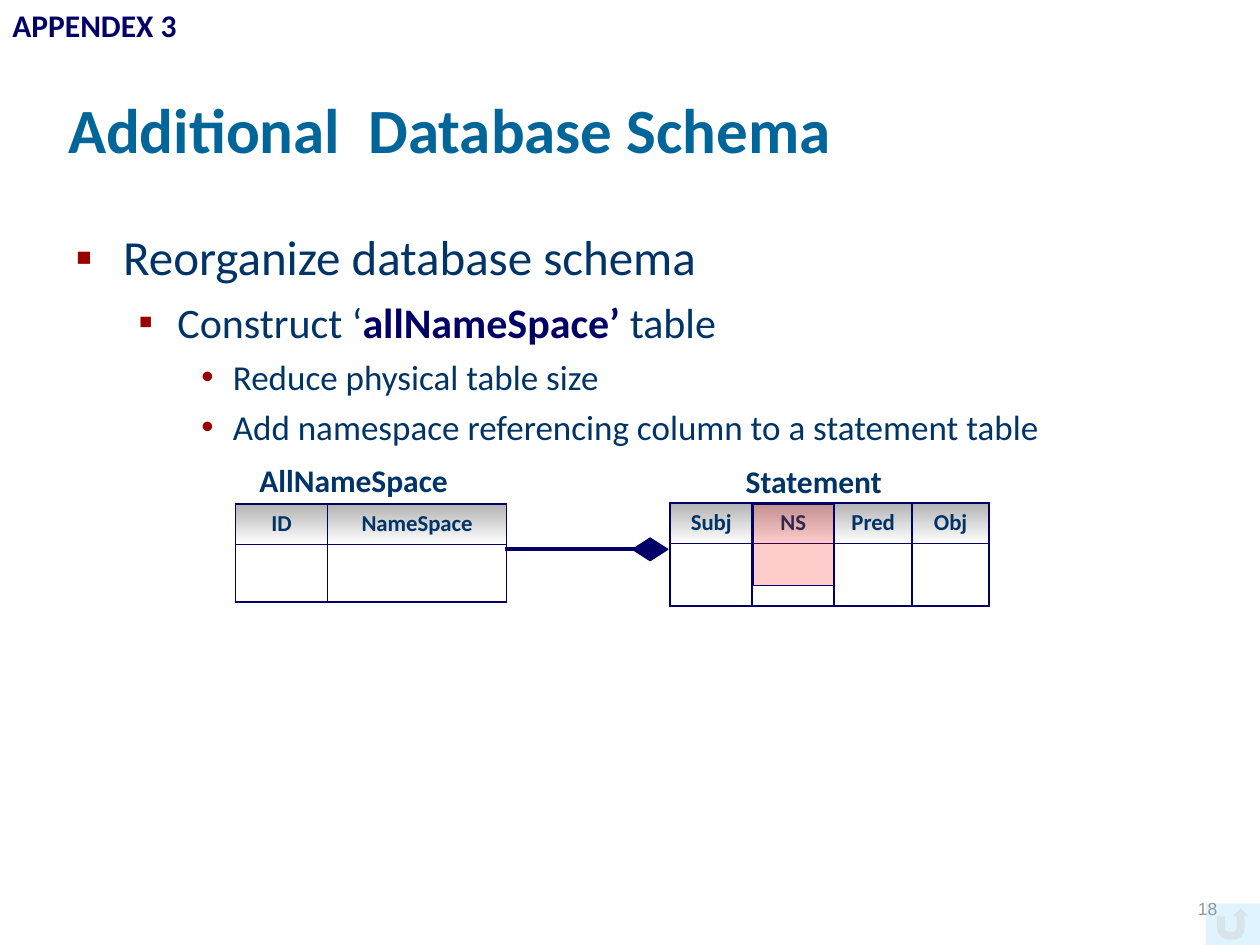
from lxml import etree
from pptx import Presentation
from pptx.dml.color import RGBColor
from pptx.enum import shapes, text
from pptx.oxml import parse_xml
from pptx.oxml.ns import nsdecls, qn
from pptx.util import Inches, Pt

NAVY, BLUE, RED = "000066", "003366", "990000"


def rgb(value):
    return RGBColor.from_string(value)


def write(para, words, size, color, bold=False, font="Calibri"):
    """Append a formatted run to a paragraph."""
    span = para.add_run()
    span.text = words
    span.font.name, span.font.size, span.font.bold = font, Pt(size), bold
    span.font.color.rgb = rgb(color)


deck = Presentation()
deck.slide_width, deck.slide_height = Inches(10), Inches(7.5)
page = deck.slides.add_slide(deck.slide_layouts[5])

# Title
title = page.shapes.title
title.left, title.top, title.width, title.height = map(Inches, (0.44, 0.12, 8.5, 1.25))
frame = title.text_frame
frame.auto_size = text.MSO_AUTO_SIZE.NONE
frame.vertical_anchor = text.MSO_ANCHOR.BOTTOM
frame.paragraphs[0].alignment = text.PP_ALIGN.LEFT
write(frame.paragraphs[0], "Additional  Database Schema", 36, "006699", True)

# Bulleted outline: level, space before, runs of (words, colour, bold)
outline = [
    (0, 0, [("Reorganize database schema", BLUE, False)]),
    (1, 6, [("Construct ‘", BLUE, False), ("allNameSpace’", NAVY, True),
            (" table", BLUE, False)]),
    (2, 5, [("Reduce physical table size", BLUE, False)]),
    (2, 5, [("Add namespace referencing column to a statement table", BLUE, False)]),
]
# Per level: text size, left margin, hanging indent, bullet
levels = [(28, 0.38, 0.38, "▪"), (24, 0.81, 0.31, "▪"), (20, 1.25, 0.25, "•")]
body = page.shapes.add_textbox(Inches(0.5), Inches(1.75), Inches(8.97), Inches(5.09))
frame = body.text_frame
frame.word_wrap = True
for index, (level, before, spans) in enumerate(outline):
    para = frame.add_paragraph() if index else frame.paragraphs[0]
    size, margin, hanging, bullet = levels[level]
    para.level = level
    para.space_before = Pt(before)
    props = para._p.get_or_add_pPr()
    props.set("marL", str(Inches(margin)))
    props.set("indent", str(-Inches(hanging)))
    bullet_color = etree.SubElement(props, qn("a:buClr"))
    etree.SubElement(bullet_color, qn("a:srgbClr"), val=RED)
    etree.SubElement(props, qn("a:buFont"), typeface="Arial")
    etree.SubElement(props, qn("a:buChar"), char=bullet)
    for words, color, bold in spans:
        write(para, words, size, color, bold)

# Schema tables: left, top, column widths, row heights, column names
tables = [
    (1.87, 4, (0.73, 1.42), (0.32, 0.46), ("ID", "NameSpace")),
    (5.32, 3.99, (0.65, 0.65, 0.62, 0.61), (0.32, 0.5), ("Subj", "NS", "Pred", "Obj")),
]
for left, top, widths, heights, names in tables:
    table = page.shapes.add_table(
        2, len(names), Inches(left), Inches(top),
        Inches(sum(widths)), Inches(sum(heights))).table
    table.first_row = table.horz_banding = False
    for column, width in zip(table.columns, widths):
        column.width = Inches(width)
    for row_index, (row, height) in enumerate(zip(table.rows, heights)):
        row.height = Inches(height)
        for cell, name in zip(row.cells, names):
            thin_side = "T" if row_index else "B"
            for side in "LRTB":
                weight = Pt(0.45 if side == thin_side else 1.08)
                cell._tc.get_or_add_tcPr().append(parse_xml(
                    f'<a:ln{side} {nsdecls("a")} w="{weight}"><a:solidFill>'
                    f'<a:srgbClr val="{NAVY}"/></a:solidFill></a:ln{side}>'))
            if row_index:
                cell.fill.background()
                continue
            cell.fill.gradient()
            cell.fill.gradient_angle = 270
            for stop, color in zip(cell.fill.gradient_stops, ("B2B2B2", "FFFFFF")):
                stop.color.rgb = rgb(color)
            para = cell.text_frame.paragraphs[0]
            para.alignment = text.PP_ALIGN.CENTER
            write(para, name, 13, BLUE, True)

# Relation between the tables
relation = page.shapes.add_connector(
    shapes.MSO_CONNECTOR.STRAIGHT, Inches(5.27), Inches(4.36), Inches(4.01), Inches(4.36))
relation.line.color.rgb = rgb(NAVY)
relation.line.width = Pt(2.25)
etree.SubElement(relation._element.spPr, qn("a:effectLst"))

# Diamond end, highlighted column and return button: kind, place, fill, opacity, outlined
kinds = shapes.MSO_SHAPE
for kind, place, color, opacity, outlined in [
    (kinds.FLOWCHART_DECISION, (5.02, 4.27, 0.28, 0.18), NAVY, 100, True),
    (kinds.RECTANGLE, (5.98, 4, 0.64, 0.65), "FF0000", 20, True),
    (kinds.ACTION_BUTTON_RETURN, (9.57, 7.17, 0.43, 0.33), "66CCFF", 20, False),
]:
    shape = page.shapes.add_shape(kind, *map(Inches, place))
    shape.shadow.inherit = False
    shape.fill.solid()
    shape.fill.fore_color.rgb = rgb(color)
    if opacity < 100:
        fill_color = shape._element.spPr.find(f"{qn('a:solidFill')}/{qn('a:srgbClr')}")
        etree.SubElement(fill_color, qn("a:alpha"), val=str(opacity * 1000))
    if outlined:
        shape.line.color.rgb = rgb(NAVY)
        shape.line.width = Pt(0.75)
    else:
        shape.line.fill.background()

# Table names, section mark and page number
for words, place, size, color, bold, font, wrap in [
    ("AllNameSpace", (1.96, 3.61, 2.06, 0.4), 18, BLUE, True, "Calibri", False),
    ("Statement", (5.82, 3.62, 1.52, 0.4), 18, BLUE, True, "Calibri", False),
    ("APPENDEX 3", (0, 0, 2.26, 0.4), 18, NAVY, True, "Calibri", True),
    ("18", (7.68, 6.84, 2.08, 0.5), 10, "969696", False, "Arial", True),
]:
    box = page.shapes.add_textbox(*map(Inches, place))
    box.text_frame.word_wrap = wrap
    write(box.text_frame.paragraphs[0], words, size, color, bold, font)
# The page number is added last and sits bottom right
box.text_frame.vertical_anchor = text.MSO_ANCHOR.BOTTOM
box.text_frame.paragraphs[0].alignment = text.PP_ALIGN.RIGHT

deck.save("out.pptx")
